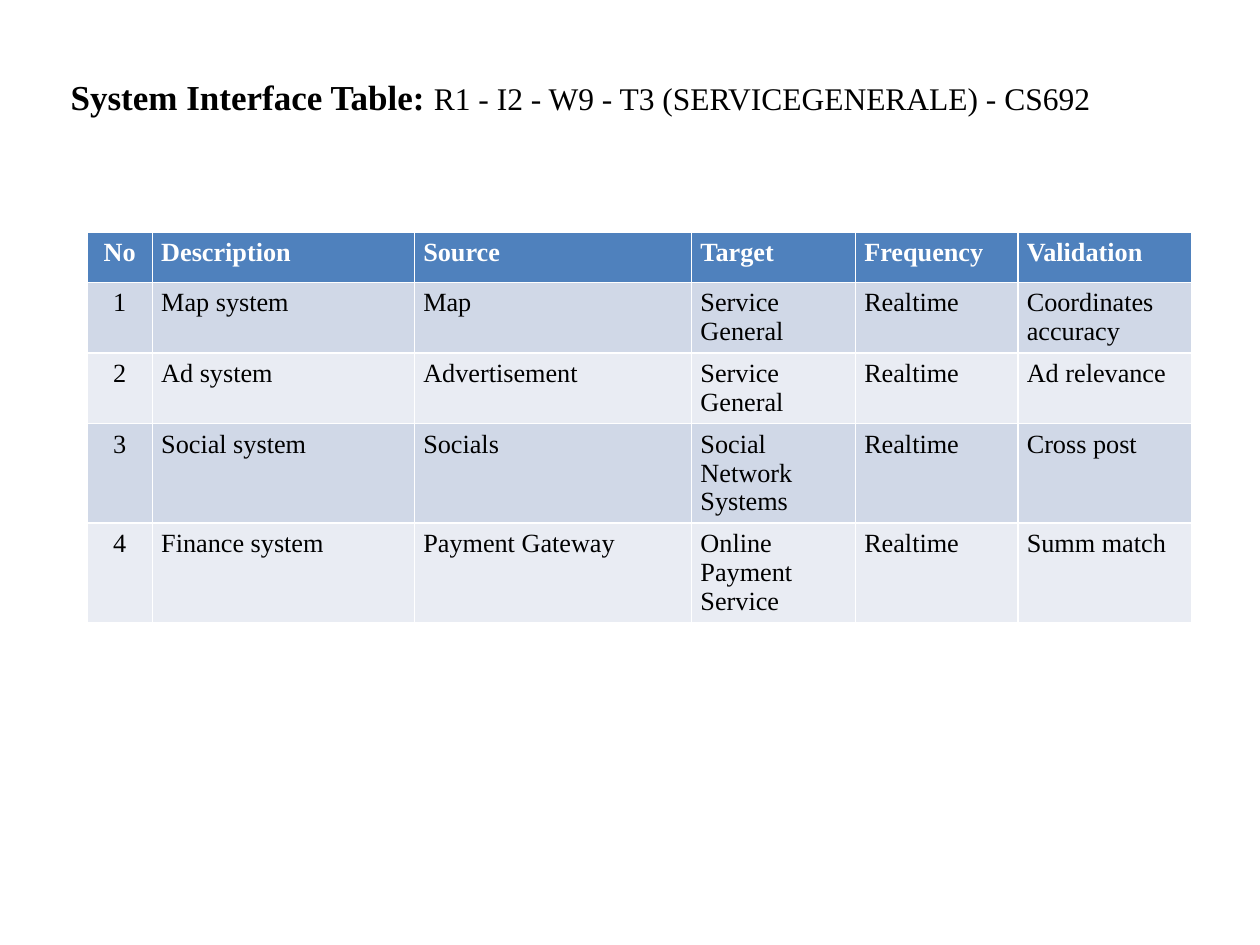
from dataclasses import dataclass

from lxml import etree
from pptx import Presentation
from pptx import util as u
from pptx.dml.color import RGBColor
from pptx.enum import text
from pptx.oxml import ns


@dataclass(frozen=True)
class Theme:
    font: str = "Times New Roman"
    ink: str = "000000"
    paper: str = "FFFFFF"
    header: str = "4F81BD"
    bands: tuple = ("D0D8E7", "E9ECF3")
    title_size: int = 20
    subtitle_size: int = 18
    table_size: int = 15
    border: float = 0.96


THEME = Theme()
HEADING = (
    ("System Interface Table: ", THEME.title_size, True),
    ("R1 - I2 - W9 - T3 (SERVICEGENERALE) - CS692", THEME.subtitle_size, False),
)
INTERFACES = (
    ("No", "Description", "Source", "Target", "Frequency", "Validation"),
    ("1", "Map system", "Map", "Service General", "Realtime", "Coordinates accuracy"),
    ("2", "Ad system", "Advertisement", "Service General", "Realtime", "Ad relevance"),
    ("3", "Social system", "Socials", "Social Network Systems", "Realtime", "Cross post"),
    ("4", "Finance system", "Payment Gateway", "Online Payment Service", "Realtime", "Summ match"),
)
COLUMN_WIDTHS = (0.52, 2.08, 2.2, 1.3, 1.29, 1.38)
ROW_HEIGHTS = (0.4, 0.56, 0.56, 0.79, 0.79)


def style_run(run, size, color, bold):
    run.font.name = THEME.font
    run.font.size = u.Pt(size)
    run.font.bold = bold
    run.font.color.rgb = RGBColor.from_string(color)


def add_borders(cell):
    properties = cell._tc.get_or_add_tcPr()
    for index, side in enumerate(("lnL", "lnR", "lnT", "lnB")):
        line = etree.Element(ns.qn(f"a:{side}"), w=str(int(u.Pt(THEME.border))))
        fill = etree.SubElement(line, ns.qn("a:solidFill"))
        etree.SubElement(fill, ns.qn("a:srgbClr"), val=THEME.paper)
        properties.insert(index, line)


def add_heading(slide):
    heading = slide.shapes.title
    heading.left, heading.top, heading.width, heading.height = map(
        u.Inches, (0.46, 0.5, 9.22, 0.54))
    frame = heading.text_frame
    frame.word_wrap = True
    frame.auto_size = text.MSO_AUTO_SIZE.NONE
    frame.vertical_anchor = text.MSO_ANCHOR.TOP
    frame.margin_left = frame.margin_right = u.Inches(0.1)
    frame.margin_top = frame.margin_bottom = u.Inches(0.1)
    paragraph = frame.paragraphs[0]
    paragraph.alignment = text.PP_ALIGN.LEFT
    for words, size, bold in HEADING:
        run = paragraph.add_run()
        run.text = words
        style_run(run, size, THEME.ink, bold)


def add_interfaces(slide):
    bounds = (0.69, 1.84, sum(COLUMN_WIDTHS), sum(ROW_HEIGHTS))
    table = slide.shapes.add_table(
        len(INTERFACES), len(COLUMN_WIDTHS), *map(u.Inches, bounds)).table
    for column, width in zip(table.columns, COLUMN_WIDTHS):
        column.width = u.Inches(width)
    for row_index, (row, height) in enumerate(zip(table.rows, ROW_HEIGHTS)):
        row.height = u.Inches(height)
        is_header = row_index == 0
        fill = THEME.header if is_header else THEME.bands[(row_index - 1) % 2]
        color = THEME.paper if is_header else THEME.ink
        for column_index, cell in enumerate(row.cells):
            cell.text_frame.text = INTERFACES[row_index][column_index]
            cell.margin_left = cell.margin_right = u.Inches(0.07)
            cell.margin_top = cell.margin_bottom = u.Inches(0.05)
            cell.fill.solid()
            cell.fill.fore_color.rgb = RGBColor.from_string(fill)
            add_borders(cell)
            paragraph = cell.text_frame.paragraphs[0]
            paragraph.alignment = (
                text.PP_ALIGN.LEFT if column_index else text.PP_ALIGN.CENTER)
            style_run(paragraph.runs[0], THEME.table_size, color, is_header)


def main():
    deck = Presentation()
    deck.slide_width, deck.slide_height = u.Inches(10), u.Inches(7.5)
    slide = deck.slides.add_slide(deck.slide_layouts.get_by_name("Title Only"))
    add_heading(slide)
    add_interfaces(slide)
    deck.save("out.pptx")


if __name__ == "__main__":
    main()
